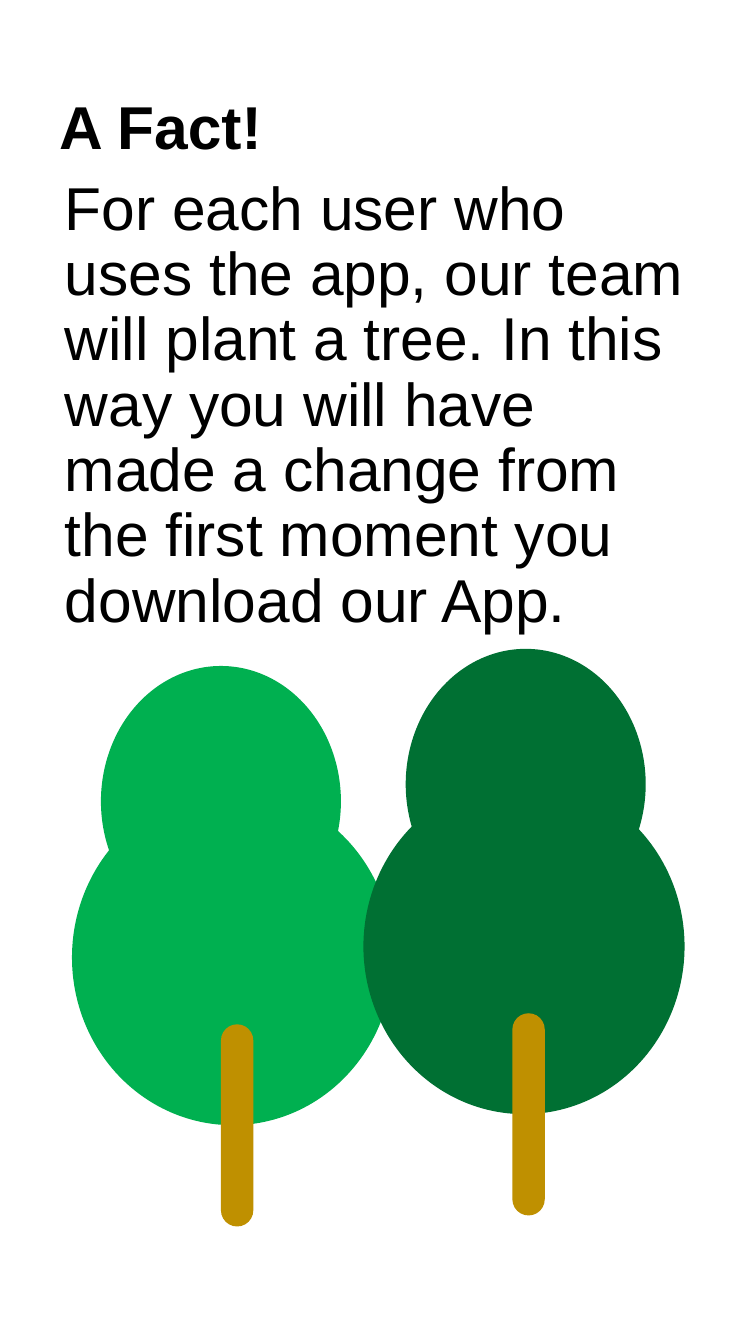
from pptx import Presentation
from pptx.dml.color import RGBColor
from pptx.enum.shapes import MSO_SHAPE as Kind
from pptx.enum.text import MSO_ANCHOR as Anchor
from pptx.util import Cm, Pt

BLACK = RGBColor(0x00, 0x00, 0x00)
WHITE = RGBColor(0xFF, 0xFF, 0xFF)
LIGHT = RGBColor(0x00, 0xB0, 0x50)
DARK = RGBColor(0x00, 0x70, 0x33)
BROWN = RGBColor(0xBF, 0x90, 0x00)
PIXEL = 2.54 / 96


def write(frame, text, size=45, bold=False, color=BLACK, font="Arial", before=0):
    para = frame.paragraphs[0]
    para.line_spacing = 0.9
    para.space_before = Pt(before)
    run = para.add_run()
    run.text = text
    run.font.size = Pt(size)
    run.font.bold = bold
    run.font.name = font
    run.font.color.rgb = color


class Page:
    """Holds the style and the current slide."""

    def __init__(self, slide):
        self.slide = slide
        back = slide.background.fill
        back.solid()
        back.fore_color.rgb = WHITE

    def text(self, box, words, anchor=Anchor.TOP, **style):
        frame = self.slide.shapes.add_textbox(*map(Cm, box)).text_frame
        frame.word_wrap = True
        frame.vertical_anchor = anchor
        write(frame, words, **style)

    def shape(self, kind, box, color):
        shape = self.slide.shapes.add_shape(kind, *map(Cm, box))
        shape.shadow.inherit = False
        shape.fill.solid()
        shape.fill.fore_color.rgb = color
        shape.line.fill.background()
        return shape

    def tree(self, left, top, shift, rise, color):
        self.shape(Kind.OVAL, (left, top, 8.43, 8.81), color)
        self.shape(Kind.OVAL, (left + shift, top - rise, 6.3, 7.11), color)
        trunk = (left + 3.91, top + 6.16, 0.85, 5.31)
        self.shape(Kind.ROUNDED_RECTANGLE, trunk, BROWN).adjustments[0] = 0.5


deck = Presentation()
deck.slide_width, deck.slide_height = Cm(750 * PIXEL), Cm(1334 * PIXEL)
page = Page(deck.slides.add_slide(deck.slide_layouts[6]))

page.text((1.3, 0, 17.12, 6.83), "A Fact!", anchor=Anchor.MIDDLE, bold=True)
page.text(
    (1.45, 4.55, 17.12, 22.4),
    "For each user who uses the app, our team will plant a tree. "
    "In this way you will have made a change from the first moment "
    "you download our App.",
    before=7.8,
)
page.tree(1.89, 20.74, 0.76, 3.25, LIGHT)
page.tree(9.54, 20.45, 1.11, 3.41, DARK)

deck.save("out.pptx")
